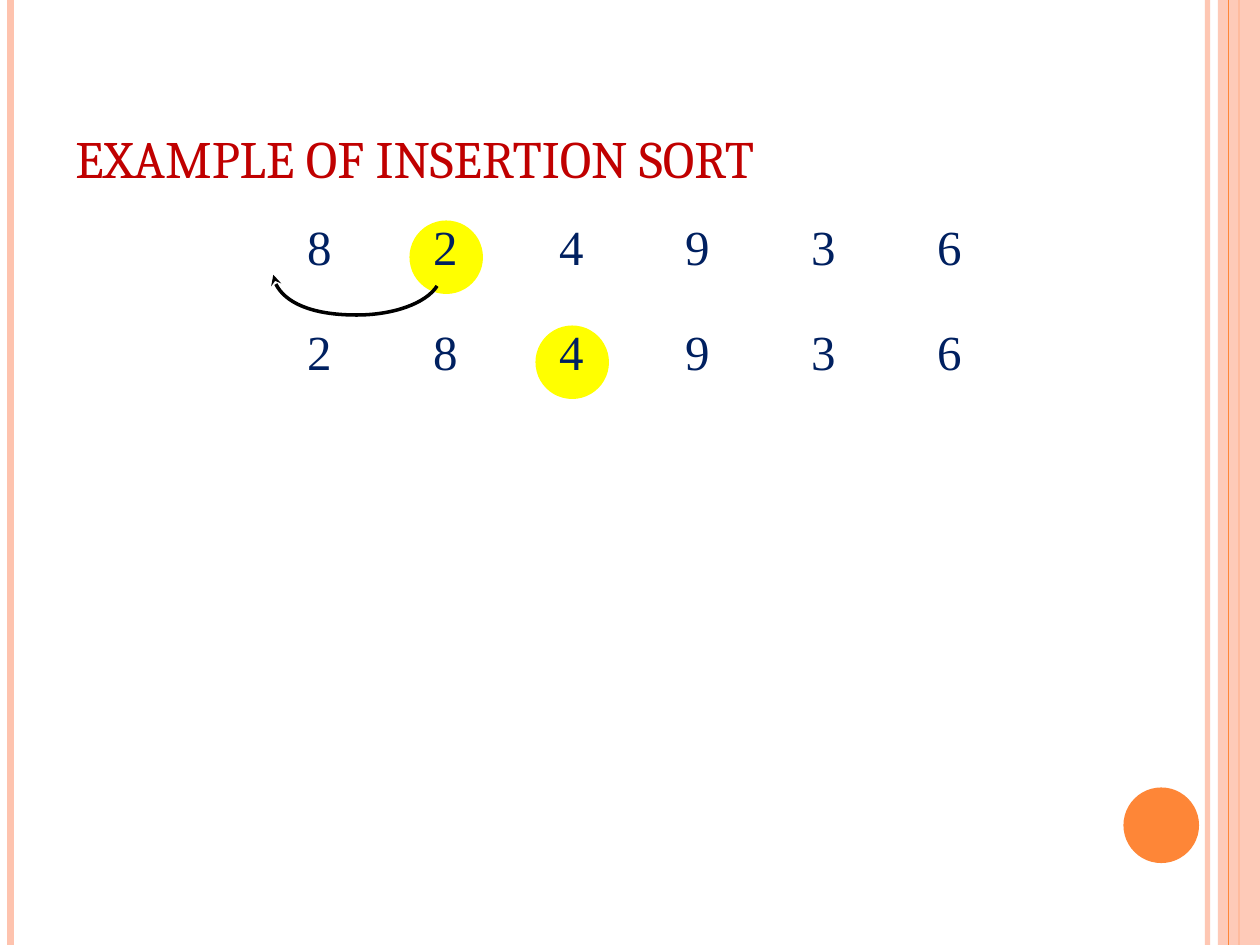
import pptx
import pptx.dml.color
import pptx.enum.shapes
import pptx.enum.text
import pptx.oxml
import pptx.oxml.ns
import pptx.util
from pptx.util import Pt

RGBColor = pptx.dml.color.RGBColor
PEACH = RGBColor(0xFE, 0xC3, 0xAE)
ORANGE = RGBColor(0xFE, 0x86, 0x37)
YELLOW = RGBColor(0xFF, 0xFF, 0x00)
RED = RGBColor(0xC0, 0x00, 0x00)
NAVY = RGBColor(0x00, 0x20, 0x60)
BLACK = RGBColor(0x00, 0x00, 0x00)

SLIDE_WIDTH, SLIDE_HEIGHT = 720, 540
NUMBER_LEFT, NUMBER_TOP = 168.5, 120
COLUMN_STEP, ROW_STEP = 72, 60
# Each step: the numbers in order, and the index of the one to insert next
STEPS = [("824936", 1), ("284936", 2)]
# Start point followed by two cubic curves of three points each
INSERTION_CURVE = [(249.8, 163.4), (243.4, 173.5), (224.6, 180), (203.8, 180),
                   (177.8, 180), (157, 170.3), (156.2, 157)]


def add_xml(parent, tag, **attributes):
    element = pptx.oxml.parse_xml(f"<a:{tag} {pptx.oxml.ns.nsdecls('a')}/>")
    for name, value in attributes.items():
        element.set(name, str(value))
    parent.append(element)
    return element


def set_opacity(fill, percent):
    color = fill._xPr.find(".//" + pptx.oxml.ns.qn("a:srgbClr"))
    add_xml(color, "alpha", val=percent * 1000)


def add_vertical_line(slide, x, color, width, opacity=100):
    line = slide.shapes.add_connector(pptx.enum.shapes.MSO_CONNECTOR.STRAIGHT,
                                      Pt(x), Pt(0), Pt(x), Pt(SLIDE_HEIGHT))
    line.line.color.rgb = color
    line.line.width = Pt(width)
    if opacity < 100:
        set_opacity(line.line.fill, opacity)
    add_xml(line._element.spPr, "effectLst")


def add_filled_shape(slide, kind, left, top, width, height, color, opacity=100):
    shape = slide.shapes.add_shape(kind, Pt(left), Pt(top), Pt(width), Pt(height))
    shape.shadow.inherit = False
    shape.fill.solid()
    shape.fill.fore_color.rgb = color
    shape.line.fill.background()
    if opacity < 100:
        set_opacity(shape.fill, opacity)


def add_circle(slide, left, top, diameter, color):
    add_filled_shape(slide, pptx.enum.shapes.MSO_SHAPE.OVAL,
                     left, top, diameter, diameter, color)


def add_text(slide, text, left, top, width, height, font_name, size, color):
    box = slide.shapes.add_textbox(Pt(left), Pt(top), Pt(width), Pt(height))
    paragraph = box.text_frame.paragraphs[0]
    paragraph.text = text
    paragraph.font.name = font_name
    paragraph.font.size = Pt(size)
    paragraph.font.color.rgb = color
    return box.text_frame


def add_curved_arrow(slide, points):
    start, *others = [(Pt(x), Pt(y)) for x, y in points]
    builder = slide.shapes.build_freeform(*start)
    builder.add_line_segments(others, close=False)
    arrow = builder.convert_to_shape()
    arrow.shadow.inherit = False
    arrow.fill.background()
    arrow.line.color.rgb = BLACK
    arrow.line.width = Pt(2)
    add_xml(arrow.line._get_or_add_ln(), "tailEnd", type="stealth")
    # Turn every three straight segments into one cubic curve
    path = arrow._element.spPr.find(".//" + pptx.oxml.ns.qn("a:path"))
    segments = path.findall(pptx.oxml.ns.qn("a:lnTo"))
    for first in range(0, len(segments), 3):
        curve = add_xml(path, "cubicBezTo")
        for segment in segments[first:first + 3]:
            curve.append(segment[0])
            path.remove(segment)


def add_frame(slide):
    """Draw the coloured bands at the slide edges and the corner disc."""
    add_vertical_line(slide, 690, PEACH, 3, opacity=93)
    add_vertical_line(slide, 6, PEACH, 4.5)
    add_vertical_line(slide, 708, ORANGE, 1.5)
    add_filled_shape(slide, pptx.enum.shapes.MSO_SHAPE.RECTANGLE,
                     696, 0, 24, SLIDE_HEIGHT, PEACH, opacity=87)
    add_vertical_line(slide, 702, ORANGE, 0.75)
    add_circle(slide, 642, 450, 43.2, ORANGE)


def add_title(slide, text):
    frame = add_text(slide, text, 36, 21.6, 588, 90, "Cambria", 30, RED)
    frame.word_wrap = True
    frame.vertical_anchor = pptx.enum.text.MSO_ANCHOR.BOTTOM


def add_step(slide, row, numbers, marked):
    top = NUMBER_TOP + row * ROW_STEP
    add_circle(slide, 162 + marked * COLUMN_STEP, top + 6, 42, YELLOW)
    for column, number in enumerate(numbers):
        frame = add_text(slide, number, NUMBER_LEFT + column * COLUMN_STEP, top,
                         28.4, 41, "Times New Roman", 28, NAVY)
        frame.word_wrap = False
        frame.auto_size = pptx.enum.text.MSO_AUTO_SIZE.SHAPE_TO_FIT_TEXT


def main():
    presentation = pptx.Presentation()
    presentation.slide_width = Pt(SLIDE_WIDTH)
    presentation.slide_height = Pt(SLIDE_HEIGHT)
    slide = presentation.slides.add_slide(presentation.slide_layouts[6])
    add_frame(slide)
    add_title(slide, "EXAMPLE OF INSERTION SORT")
    for row, (numbers, marked) in enumerate(STEPS):
        add_step(slide, row, numbers, marked)
    add_curved_arrow(slide, INSERTION_CURVE)
    presentation.save("out.pptx")


if __name__ == "__main__":
    main()
